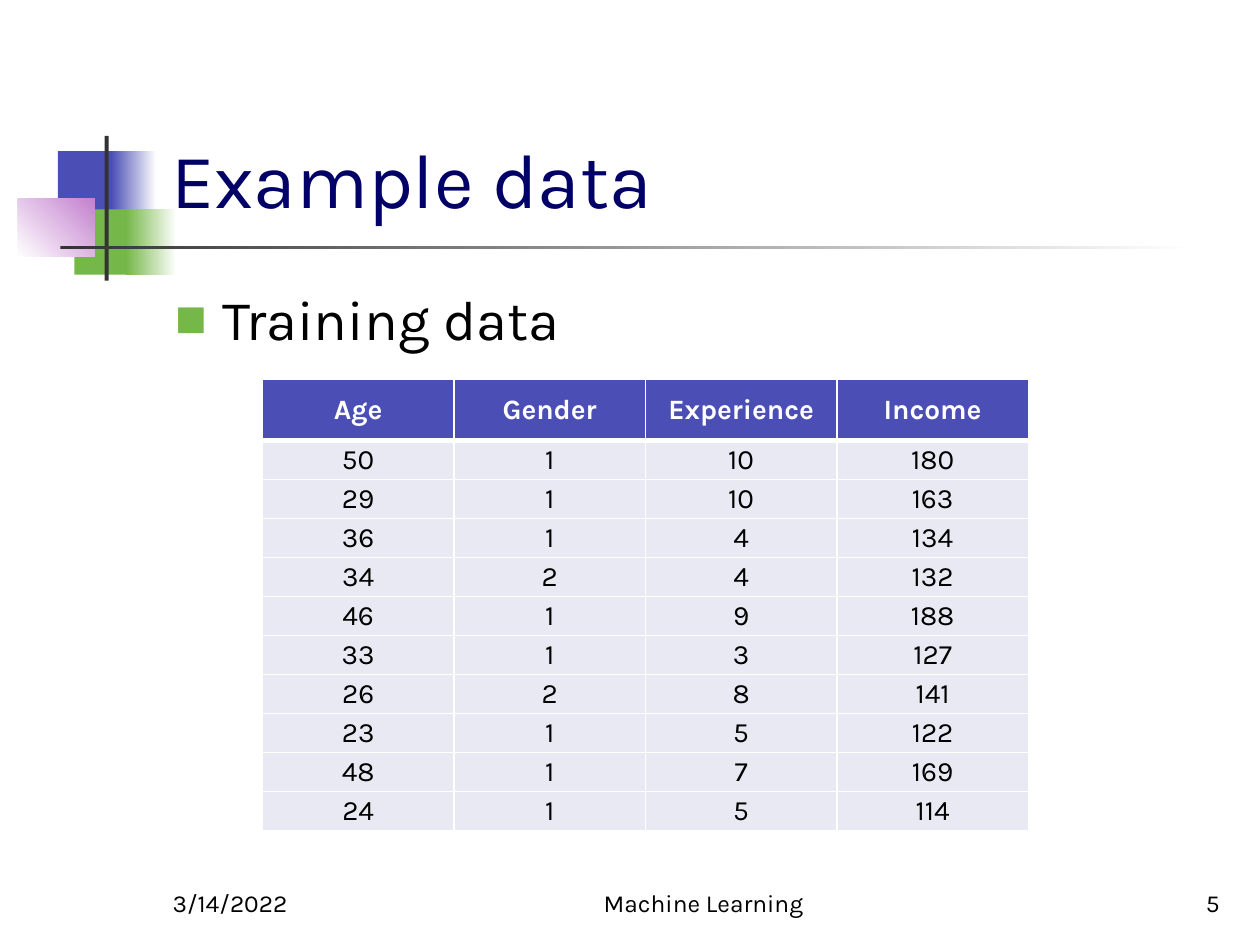
from dataclasses import dataclass

from lxml.etree import SubElement
from pptx import Presentation
from pptx.dml.color import RGBColor
from pptx.enum.shapes import MSO_SHAPE
from pptx.enum.text import MSO_ANCHOR, PP_ALIGN
from pptx.oxml.ns import qn
from pptx.util import Cm, Pt


@dataclass(frozen=True)
class Theme:
    """Hold the font, colours and type sizes of the slide."""
    font: str = "Karla"
    navy: str = "000066"
    blue: str = "4B4EB5"
    green: str = "76B749"
    violet: str = "C481CF"
    charcoal: str = "333333"
    row: str = "E9E9F3"
    black: str = "000000"
    white: str = "FFFFFF"
    title: int = 44
    body: int = 32
    cell: int = 16
    footer: int = 14


THEME = Theme()
HEADINGS = ("Age", "Gender", "Experience", "Income")
TRAINING_ROWS = (
    (50, 1, 10, 180),
    (29, 1, 10, 163),
    (36, 1, 4, 134),
    (34, 2, 4, 132),
    (46, 1, 9, 188),
    (33, 1, 3, 127),
    (26, 2, 8, 141),
    (23, 1, 5, 122),
    (48, 1, 7, 169),
    (24, 1, 5, 114),
)


def apply_format(target, values):
    """Set each named attribute of the target."""
    for name, value in values.items():
        setattr(target, name, value)


def write_text(paragraph, wording, size, color, align=PP_ALIGN.LEFT, bold=False):
    """Write one formatted run in a paragraph."""
    paragraph.alignment = align
    run = paragraph.add_run()
    run.text = wording
    apply_format(run.font, {"name": THEME.font, "size": Pt(size), "bold": bold})
    run.font.color.rgb = RGBColor.from_string(color)


def add_block(slide, place, colors, angle=0):
    """Add a rectangle filled with one colour or a two-colour gradient."""
    block = slide.shapes.add_shape(MSO_SHAPE.RECTANGLE, *map(Cm, place))
    block.shadow.inherit = False
    block.line.fill.background()
    if len(colors) == 1:
        block.fill.solid()
        block.fill.fore_color.rgb = RGBColor.from_string(colors[0])
        return
    block.fill.gradient()
    block.fill.gradient_angle = angle
    for stop, color in zip(block.fill.gradient_stops, colors):
        stop.color.rgb = RGBColor.from_string(color)


def add_label(slide, place, wording, size, color, align=PP_ALIGN.LEFT, anchor=MSO_ANCHOR.BOTTOM):
    """Add a wrapped text box and return its paragraph."""
    frame = slide.shapes.add_textbox(*map(Cm, place)).text_frame
    apply_format(frame, {"word_wrap": True, "vertical_anchor": anchor})
    write_text(frame.paragraphs[0], wording, size, color, align)
    return frame.paragraphs[0]


def add_bullet(paragraph, color):
    """Give a paragraph a coloured square bullet with a hanging indent."""
    paragraph.space_before = Pt(6.4)
    properties = paragraph._p.get_or_add_pPr()
    properties.set("marL", str(Cm(0.95)))
    properties.set("indent", str(Cm(-0.95)))
    SubElement(SubElement(properties, qn("a:buClr")), qn("a:srgbClr"), val=color)
    SubElement(properties, qn("a:buSzPct"), val="60000")
    SubElement(properties, qn("a:buFont"), typeface=THEME.font)
    SubElement(properties, qn("a:buChar"), char="■")


def add_cell_edges(cell, widths):
    """Draw white cell edges with the given widths in points."""
    for edge, width in widths.items():
        line = SubElement(cell._tc.get_or_add_tcPr(), qn(f"a:ln{edge}"), w=str(Pt(width)))
        SubElement(SubElement(line, qn("a:solidFill")), qn("a:srgbClr"), val=THEME.white)


def fill_cell(cell, wording, is_heading):
    """Write and format one table cell."""
    apply_format(cell, {
        "margin_left": Cm(0.02), "margin_right": Cm(0.02), "margin_top": Cm(0.02),
        "margin_bottom": Cm(0), "vertical_anchor": MSO_ANCHOR.MIDDLE,
    })
    color = THEME.white if is_heading else THEME.black
    write_text(cell.text_frame.paragraphs[0], str(wording), THEME.cell, color,
               PP_ALIGN.CENTER, is_heading)
    edges = {"L": 1, "R": 1, "T": 1, "B": 3} if is_heading else {"L": 1, "R": 1, "B": 1}
    add_cell_edges(cell, edges)
    cell.fill.solid()
    cell.fill.fore_color.rgb = RGBColor.from_string(THEME.blue if is_heading else THEME.row)


def add_training_table(slide):
    """Add the table of training data."""
    records = (HEADINGS, *TRAINING_ROWS)
    place = map(Cm, (5.29, 7.64, 15.43, 9.1))
    table = slide.shapes.add_table(len(records), len(HEADINGS), *place).table
    apply_format(table, {"first_row": False, "horz_banding": False})
    for column in table.columns:
        column.width = Cm(3.86)
    for index, record in enumerate(records):
        table.rows[index].height = Cm(0.786 if index else 1.24)
        for position, wording in enumerate(record):
            fill_cell(table.cell(index, position), wording, index == 0)


def add_ornament(slide):
    """Add the coloured blocks and bars beside the title."""
    add_block(slide, (1.17, 3.05, 1.22, 1.32), (THEME.blue,))
    add_block(slide, (2.24, 3.05, 0.91, 1.32), (THEME.blue, THEME.white))
    add_block(slide, (1.5, 4.22, 1.17, 1.32), (THEME.green,))
    add_block(slide, (2.54, 4.22, 1.02, 1.32), (THEME.green, THEME.white))
    add_block(slide, (0.36, 4.01, 1.55, 1.17), (THEME.white, THEME.violet), 45)
    add_block(slide, (2.11, 2.74, 0.08, 2.92), (THEME.charcoal,))
    add_block(slide, (1.22, 4.95, 22.86, 0.08), (THEME.charcoal, THEME.white))


def add_footer(slide):
    """Add the date, course name and slide number."""
    for left, width, wording, align in (
        (3.23, 5.28, "3/14/2022", PP_ALIGN.LEFT),
        (10.16, 8.05, "Machine Learning", PP_ALIGN.CENTER),
        (19.56, 5.28, "5", PP_ALIGN.RIGHT),
    ):
        add_label(slide, (left, 17.35, width, 1.27), wording, THEME.footer, THEME.black, align)


def main():
    """Build and save the slide."""
    deck = Presentation()
    apply_format(deck, {"slide_width": Cm(25.4), "slide_height": Cm(19.05)})
    slide = deck.slides.add_slide(deck.slide_layouts[6])
    add_ornament(slide)
    add_label(slide, (3.2, 0.58, 21.64, 4.06), "Example data", THEME.title, THEME.navy)
    topic = add_label(slide, (3.28, 5.61, 21.59, 11.43), "Training data", THEME.body,
                      THEME.black, anchor=MSO_ANCHOR.TOP)
    add_bullet(topic, THEME.green)
    add_footer(slide)
    add_training_table(slide)
    deck.save("out.pptx")


if __name__ == "__main__":
    main()
